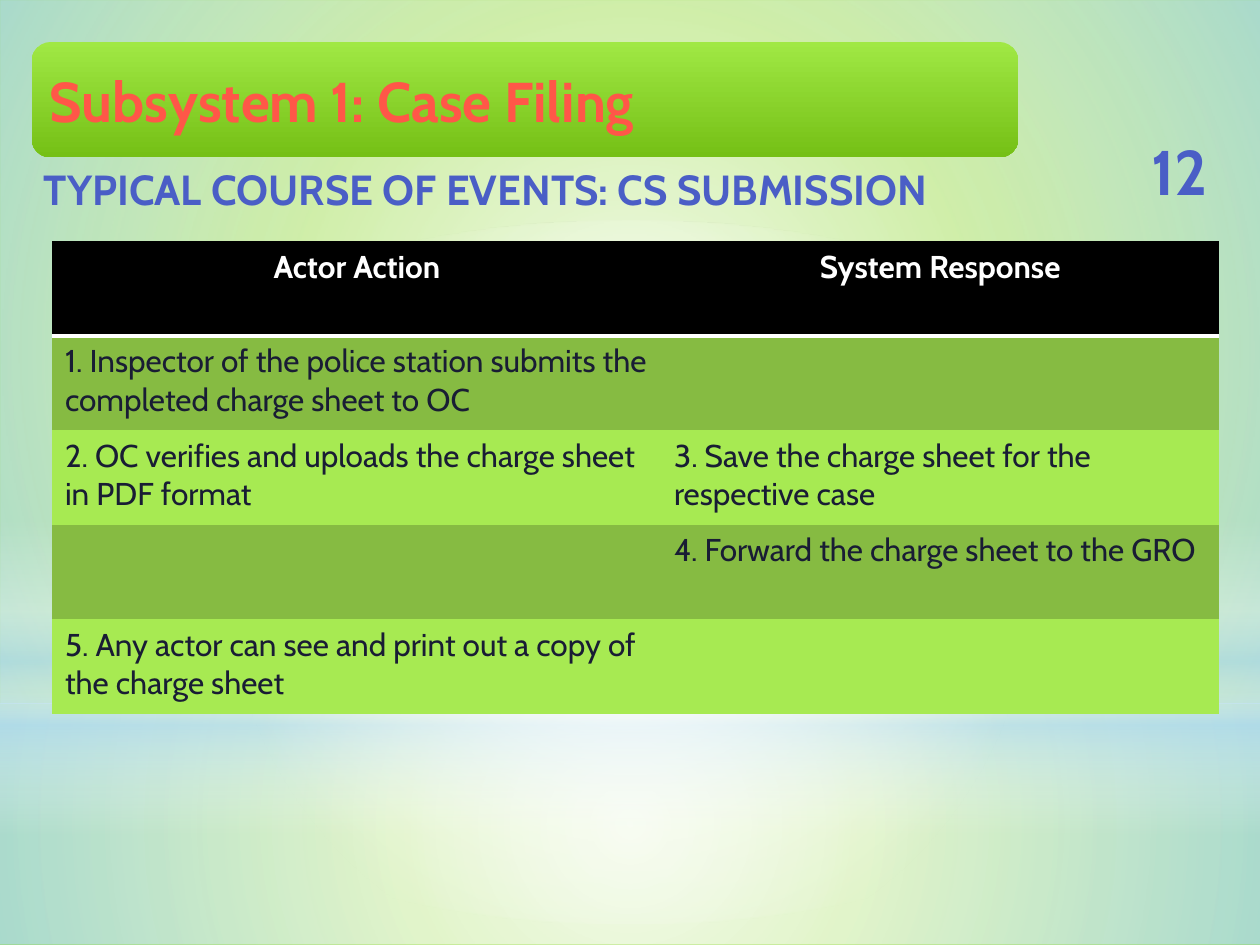
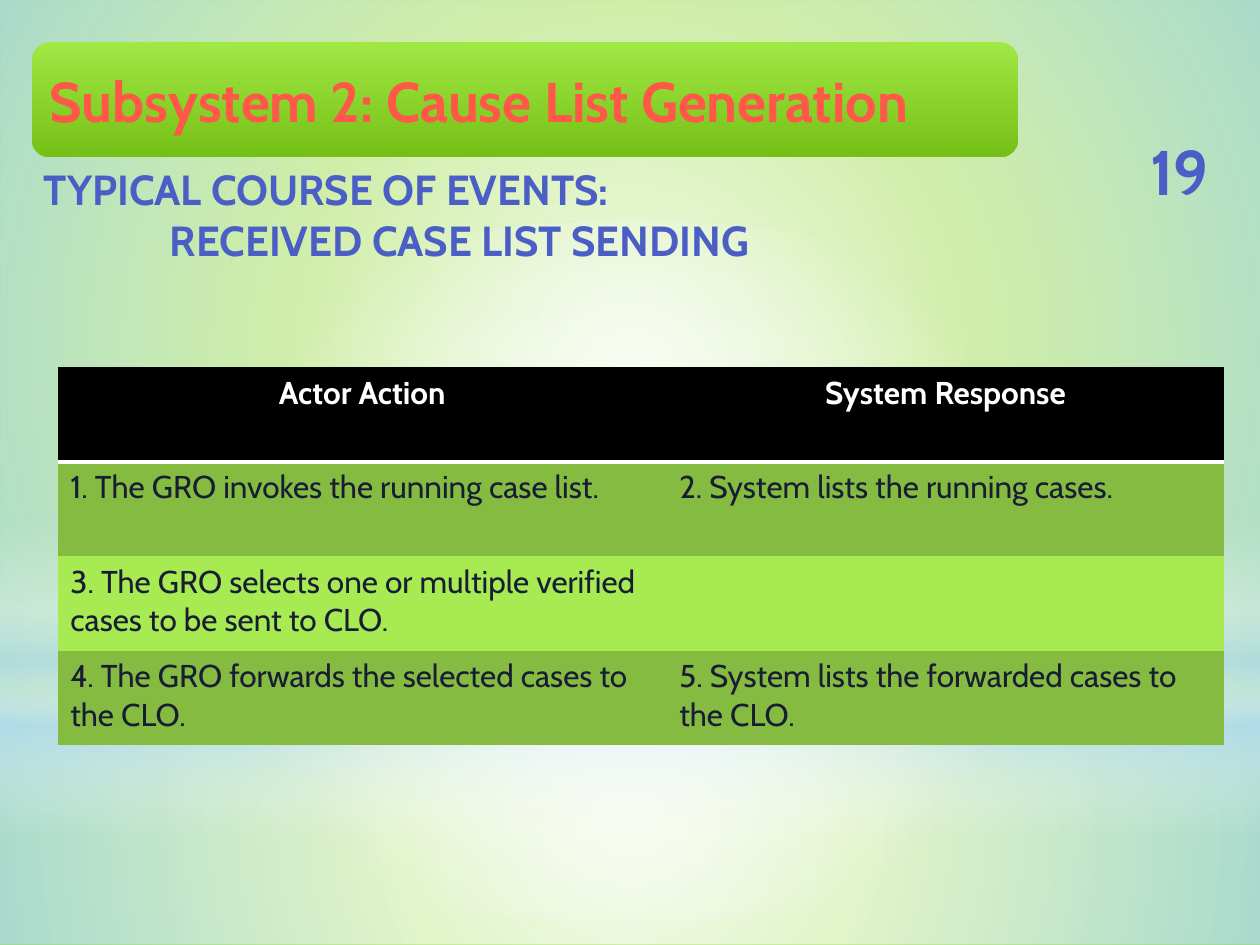
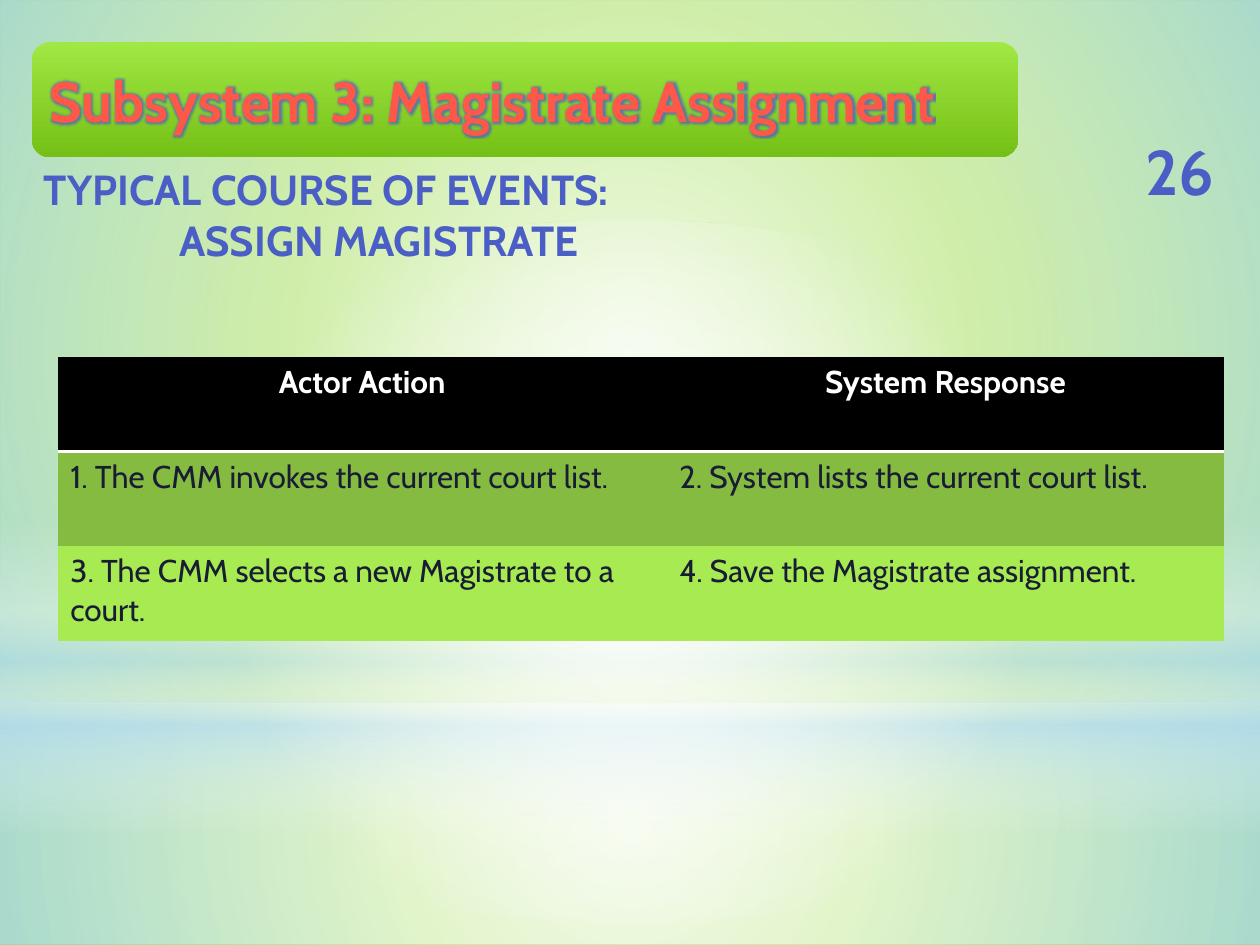
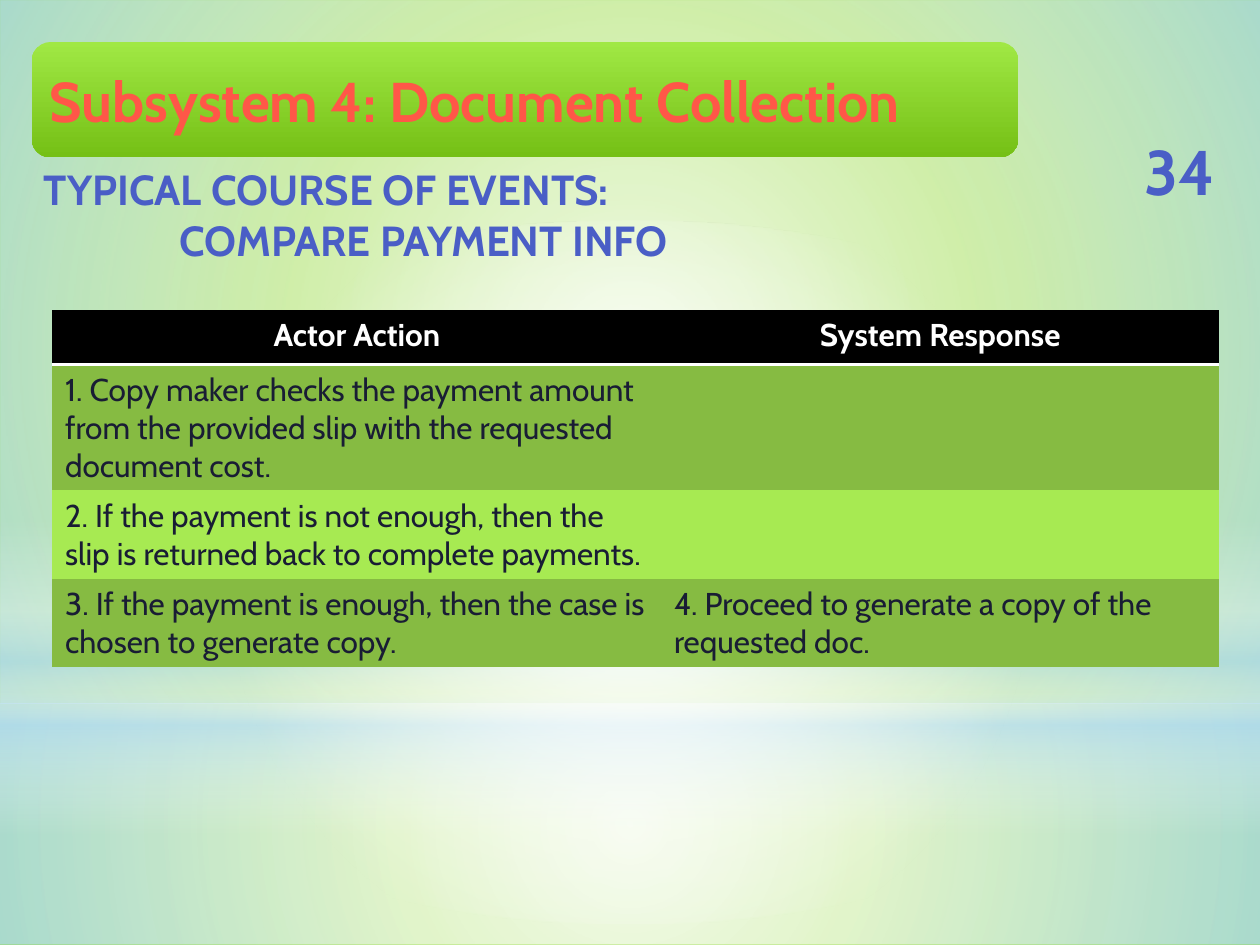
from dataclasses import dataclass
from typing import NamedTuple, Optional

import pptx
import pptx.dml.color
import pptx.enum.shapes
import pptx.enum.text
import pptx.oxml
import pptx.oxml.ns
import pptx.shapes.autoshape
import pptx.slide
import pptx.table
import pptx.text.text
import pptx.util

RGBColor = pptx.dml.color.RGBColor
Shapes = pptx.enum.shapes.MSO_SHAPE
Anchor = pptx.enum.text.MSO_ANCHOR
Align = pptx.enum.text.PP_ALIGN
AutoSize = pptx.enum.text.MSO_AUTO_SIZE
qn = pptx.oxml.ns.qn

# Shared look
FONT = "Cabin"
WHITE = RGBColor(0xFF, 0xFF, 0xFF)
BLACK = RGBColor(0x00, 0x00, 0x00)
SKY = RGBColor(0xB4, 0xDC, 0xFA)
GRASS = RGBColor(0x81, 0xD3, 0x1A)
BAND_TOP = RGBColor(0xA0, 0xE8, 0x44)
BAND_BOTTOM = RGBColor(0x75, 0xC0, 0x16)
CORAL = RGBColor(0xFF, 0x57, 0x48)
INDIGO = RGBColor(0x4A, 0x5E, 0xC6)
INK = RGBColor(0x19, 0x1D, 0x34)
OLIVE = RGBColor(0x86, 0xBB, 0x42)
LIME = RGBColor(0xA7, 0xEA, 0x52)

# Grid of 120 columns by 90 rows
SLIDE_WIDTH = pptx.util.Inches(10)
SLIDE_HEIGHT = pptx.util.Inches(7.5)
CELL = SLIDE_WIDTH / 120

NO_TABLE_STYLE = "{2D5ABB26-0587-4C30-8999-92F81FD0307C}"
A_NS = pptx.oxml.ns.nsdecls("a")


class Box(NamedTuple):
    column: float
    row: float
    columns: float
    rows: float


class Stop(NamedTuple):
    position: int
    color: RGBColor
    opacity: int = 100


class Layer(NamedTuple):
    """One translucent layer of the backdrop; no angle means a radial gradient."""
    outline: Shapes
    box: Box
    stops: list[Stop]
    angle: Optional[int] = None


@dataclass
class CourseOfEvents:
    number: int
    title: str
    subtitle: str
    steps: list[tuple[str, str]]
    table_column: float
    table_row: float
    use_case: str = ""
    use_case_indent: float = 12
    subtitle_box: Box = Box(3, 15, 119, 10.9)
    row_heights: tuple[float, ...] = ()
    title_glow: bool = False


TITLE_BOX = Box(3, 4, 94, 11)
NUMBER_BOX = Box(106.5, 13, 11.75, 6.5)
HEADINGS = ("Actor Action", "System Response")
TABLE_COLUMNS = (58, 53.1)
TABLE_ROW_HEIGHT = 9

BACKDROP = [
    Layer(Shapes.RECTANGLE, Box(0, 67, 120, 23),
          [Stop(0, WHITE, 91), Stop(37, WHITE, 76), Stop(100, SKY, 79)]),
    Layer(Shapes.RECTANGLE, Box(0, 0, 120, 67),
          [Stop(0, WHITE, 89), Stop(48, WHITE, 62), Stop(100, SKY, 79)]),
    Layer(Shapes.RECTANGLE, Box(0, 49.5, 120, 30),
          [Stop(0, WHITE, 0), Stop(29, WHITE, 30), Stop(45, SKY, 40),
           Stop(55, WHITE, 26), Stop(65, SKY, 60), Stop(100, WHITE, 0)], 90),
    Layer(Shapes.OVAL, Box(0, 21, 120, 67),
          [Stop(0, WHITE), Stop(56, WHITE, 0)]),
]

COURSES = [
    CourseOfEvents(
        12, "Subsystem 1: Case Filing", "TYPICAL COURSE OF EVENTS: CS SUBMISSION",
        [("1. Inspector of the police station submits the completed charge sheet to OC", ""),
         ("2. OC verifies and uploads the charge sheet in PDF format",
          "3. Save the charge sheet for the respective case"),
         ("", "4. Forward the charge sheet to the GRO"),
         ("5. Any actor can see and print out a copy of the charge sheet", "")],
        table_column=5, table_row=23, subtitle_box=Box(3, 15, 94, 6)),
    CourseOfEvents(
        19, "Subsystem 2: Cause List Generation", "TYPICAL COURSE OF EVENTS:",
        [("1. The GRO invokes the running case list.", "2. System lists the running cases."),
         ("3. The GRO selects one or multiple verified cases to be sent to CLO.", ""),
         ("4. The GRO forwards the selected cases to the CLO.",
          "5. System lists the forwarded cases to the CLO.")],
        table_column=5.5, table_row=35, use_case="RECEIVED CASE LIST SENDING"),
    CourseOfEvents(
        26, "Subsystem 3: Magistrate Assignment", "TYPICAL COURSE OF EVENTS:",
        [("1. The CMM invokes the current court list.", "2. System lists the current court list."),
         ("3. The CMM selects a new Magistrate to a court.",
          "4. Save the Magistrate assignment.")],
        table_column=5.5, table_row=34, use_case="ASSIGN MAGISTRATE",
        use_case_indent=12.9, title_glow=True),
    CourseOfEvents(
        34, "Subsystem 4: Document Collection", "TYPICAL COURSE OF EVENTS:",
        [("1. Copy maker checks the payment amount from the provided slip "
          "with the requested document cost.", ""),
         ("2. If the payment is not enough, then the slip is returned back "
          "to complete payments.", ""),
         ("3. If the payment is enough, then the case is chosen to generate copy.",
          "4. Proceed to generate a copy of the requested doc.")],
        table_column=5, table_row=29.5, use_case="COMPARE PAYMENT INFO",
        use_case_indent=12.9, row_heights=(5.2, 11.9, 8.4, 8.4)),
]


def grid(count: float) -> pptx.util.Emu:
    return pptx.util.Emu(round(count * CELL))


def place(box: Box) -> list[pptx.util.Emu]:
    return [grid(count) for count in box]


def write(paragraph: pptx.text.text._Paragraph, text: str, *, size: float,
          color: RGBColor, bold: bool = True, align: Align = Align.LEFT,
          indent: float = 0, glow: bool = False) -> None:
    paragraph.alignment = align
    if indent:
        paragraph._p.get_or_add_pPr().set("marL", str(grid(indent)))
    run = paragraph.add_run()
    run.text = text
    run.font.name = FONT
    run.font.size = pptx.util.Pt(size)
    run.font.bold = bold
    run.font.color.rgb = color
    if glow:
        effect = pptx.oxml.parse_xml(
            f'<a:effectLst {A_NS}><a:glow rad="50800"><a:srgbClr val="{INDIGO}">'
            '<a:alpha val="75000"/></a:srgbClr></a:glow></a:effectLst>')
        run.font._element.find(qn("a:solidFill")).addnext(effect)


def fill_gradient(shape: pptx.shapes.autoshape.Shape, stops: list[Stop],
                  angle: Optional[int] = None) -> None:
    marks = "".join(
        f'<a:gs pos="{stop.position * 1000}"><a:srgbClr val="{stop.color}">'
        f'<a:alpha val="{stop.opacity * 1000}"/></a:srgbClr></a:gs>' for stop in stops)
    if angle is None:
        course = ('<a:path path="circle"><a:fillToRect l="50000" t="50000" '
                  'r="50000" b="50000"/></a:path>')
    else:
        course = f'<a:lin ang="{angle * 60000}" scaled="0"/>'
    gradient = pptx.oxml.parse_xml(
        f'<a:gradFill {A_NS} rotWithShape="1"><a:gsLst>{marks}</a:gsLst>{course}</a:gradFill>')
    shape.fill.background()
    properties = shape._element.spPr
    properties.replace(properties.find(qn("a:noFill")), gradient)


def add_gradient_shape(slide: pptx.slide.Slide, layer: Layer) -> pptx.shapes.autoshape.Shape:
    shape = slide.shapes.add_shape(layer.outline, *place(layer.box))
    shape.shadow.inherit = False
    shape.line.fill.background()
    fill_gradient(shape, layer.stops, layer.angle)
    return shape


def set_backdrop(master: pptx.slide.SlideMaster, slide: pptx.slide.Slide) -> None:
    """Draw the backdrop and hand it to the master, so every slide shows it."""
    master.background.fill.solid()
    master.background.fill.fore_color.rgb = GRASS
    for layer in BACKDROP:
        shape = add_gradient_shape(slide, layer)
        master.shapes._spTree.insert_element_before(shape._element, "p:extLst")


def add_title(slide: pptx.slide.Slide, course: CourseOfEvents) -> None:
    band = add_gradient_shape(slide, Layer(
        Shapes.ROUNDED_RECTANGLE, TITLE_BOX, [Stop(0, BAND_TOP), Stop(100, BAND_BOTTOM)], 90))
    band.text_frame.vertical_anchor = Anchor.MIDDLE
    write(band.text_frame.paragraphs[0], course.title, size=32, color=CORAL,
          glow=course.title_glow)


def add_number(slide: pptx.slide.Slide, number: int) -> None:
    frame = slide.shapes.add_textbox(*place(NUMBER_BOX)).text_frame
    frame.word_wrap = True
    frame.vertical_anchor = Anchor.MIDDLE
    write(frame.paragraphs[0], str(number), size=36, color=INDIGO, align=Align.CENTER)


def add_subtitle(slide: pptx.slide.Slide, course: CourseOfEvents) -> None:
    frame = slide.shapes.add_textbox(*place(course.subtitle_box)).text_frame
    frame.word_wrap = True
    frame.auto_size = AutoSize.SHAPE_TO_FIT_TEXT
    write(frame.paragraphs[0], course.subtitle, size=24, color=INDIGO)
    if course.use_case:
        write(frame.add_paragraph(), course.use_case, size=24, color=INDIGO,
              indent=course.use_case_indent)


def underline(cell: pptx.table._Cell, color: RGBColor, width: float) -> None:
    border = pptx.oxml.parse_xml(
        f'<a:lnB {A_NS} w="{pptx.util.Pt(width)}"><a:solidFill>'
        f'<a:srgbClr val="{color}"/></a:solidFill></a:lnB>')
    cell._tc.get_or_add_tcPr().insert(0, border)


def add_steps(slide: pptx.slide.Slide, course: CourseOfEvents) -> None:
    lines = [HEADINGS, *course.steps]
    heights = course.row_heights or (TABLE_ROW_HEIGHT,) * len(lines)
    box = Box(course.table_column, course.table_row, sum(TABLE_COLUMNS), sum(heights))
    table = slide.shapes.add_table(len(lines), len(HEADINGS), *place(box)).table
    table._tbl.tblPr.find(qn("a:tableStyleId")).text = NO_TABLE_STYLE
    for column, width in zip(table.columns, TABLE_COLUMNS):
        column.width = grid(width)
    for index, (row, height, texts) in enumerate(zip(table.rows, heights, lines)):
        row.height = grid(height)
        heading = index == 0
        for cell, text in zip(row.cells, texts):
            cell.fill.solid()
            cell.fill.fore_color.rgb = BLACK if heading else (LIME, OLIVE)[index % 2]
            if heading:
                underline(cell, WHITE, 2)
            if text:
                write(cell.text_frame.paragraphs[0], text, size=18, bold=heading,
                      color=WHITE if heading else INK,
                      align=Align.CENTER if heading else Align.LEFT)


def main() -> None:
    deck = pptx.Presentation()
    deck.slide_width, deck.slide_height = SLIDE_WIDTH, SLIDE_HEIGHT
    blank = deck.slide_layouts[6]
    for index, course in enumerate(COURSES):
        slide = deck.slides.add_slide(blank)
        if index == 0:
            set_backdrop(deck.slide_master, slide)
        add_number(slide, course.number)
        add_subtitle(slide, course)
        add_steps(slide, course)
        add_title(slide, course)
    deck.save("out.pptx")


if __name__ == "__main__":
    main()
